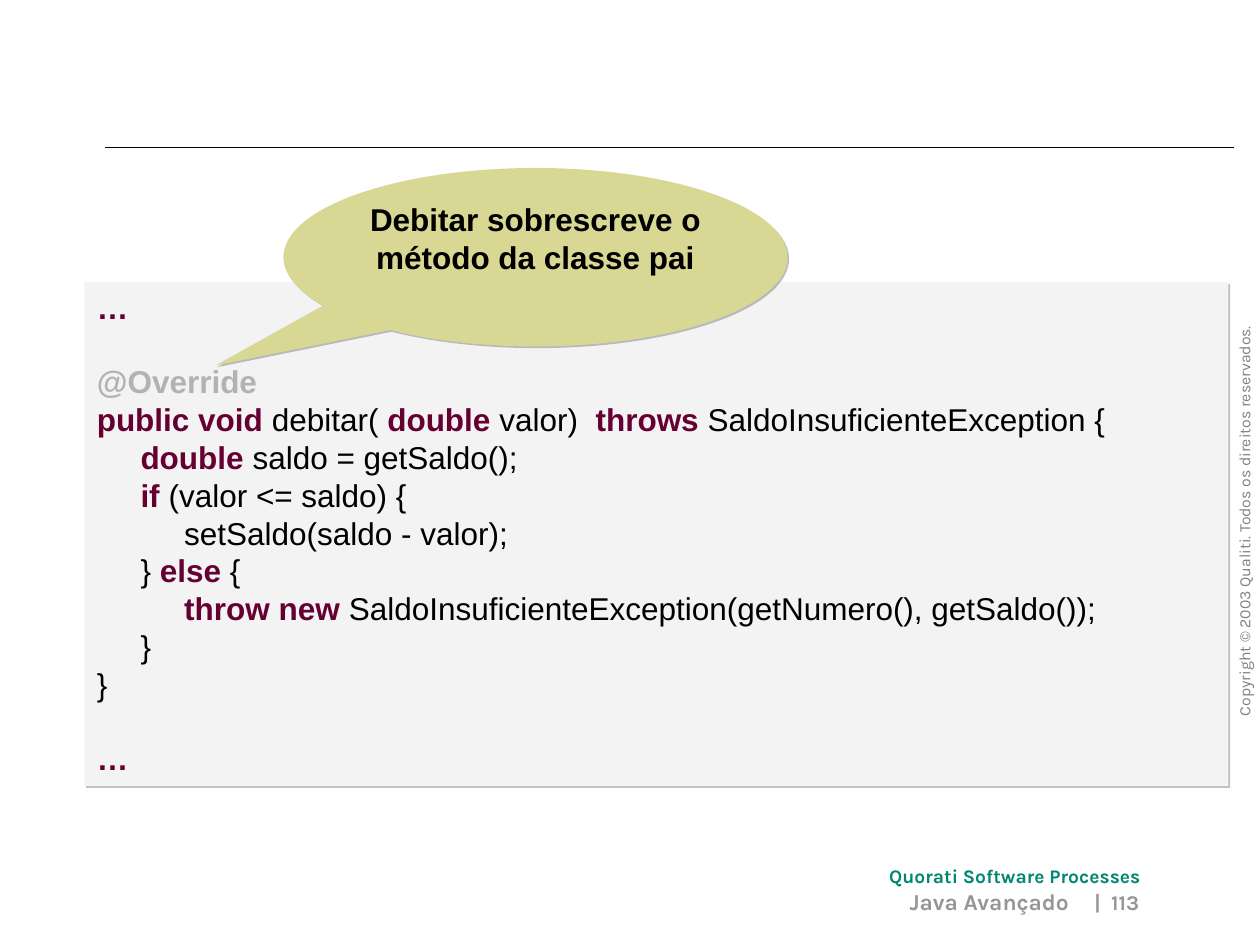
from lxml import etree
from pptx import Presentation, util as u
from pptx.dml.color import RGBColor
from pptx.enum import shapes, text
from pptx.oxml.ns import qn

INK = {
    "black": "000000", "word": "660033", "note": "B2B2B2", "panel": "F3F3F3",
    "bubble": "D8D894", "shade": "808080", "green": "008673", "grey": "969696",
}
CODE = [
    [("…", "word")],
    [("@Override", "note")],
    [("public void", "word"), (" debitar( ", "black"), ("double", "word"),
     (" valor)  ", "black"), ("throws", "word"),
     (" SaldoInsuficienteException {", "black")],
    [("     double", "word"), (" saldo = getSaldo();", "black")],
    [("     if", "word"), (" (valor <= saldo) {", "black")],
    [("          setSaldo(saldo - valor);", "black")],
    [("     } ", "black"), ("else", "word"), (" {", "black")],
    [("          throw new", "word"),
     (" SaldoInsuficienteException(getNumero(), getSaldo());", "black")],
    [("     }", "black")],
    [("}", "black")],
    [("…", "word")],
]
GAPS = {1: 20.7, len(CODE) - 1: 20.7}
LEFT, MID, RIGHT = text.PP_ALIGN.LEFT, text.PP_ALIGN.CENTER, text.PP_ALIGN.RIGHT


def tint(ink):
    """Return the named colour."""
    return RGBColor.from_string(INK[ink])


def style(run, size, ink, face, bold):
    """Format one run."""
    font = run.font
    font.size, font.name, font.bold = u.Pt(size), face, bold
    font.color.rgb = tint(ink)


def label(slide, words, box, size, ink, align=LEFT, bold=True, wrap=True):
    """Add a one-line text box and return it."""
    item = slide.shapes.add_textbox(*map(u.Pt, box))
    frame = item.text_frame
    frame.word_wrap = wrap
    frame.text = words
    para = frame.paragraphs[0]
    para.alignment = align
    style(para.runs[0], size, ink, "Karla", bold)
    return item


def shade(shape):
    """Give a shape a hard grey shadow to its lower right."""
    shape.shadow.inherit = False
    effects = shape._element.spPr.find(qn("a:effectLst"))
    outer = etree.SubElement(effects, qn("a:outerShdw"), blurRad="0",
                             dist=str(u.Pt(1.4)), dir="2700000",
                             algn="ctr", rotWithShape="0")
    color = etree.SubElement(outer, qn("a:srgbClr"), val=INK["shade"])
    etree.SubElement(color, qn("a:alpha"), val="50000")


def block(slide, kind, box, ink):
    """Add a filled, shadowed shape with text from the top."""
    shape = slide.shapes.add_shape(kind, *map(u.Pt, box))
    shape.fill.solid()
    shape.fill.fore_color.rgb = tint(ink)
    shape.line.fill.background()
    shade(shape)
    shape.text_frame.word_wrap = True
    shape.text_frame.vertical_anchor = text.MSO_ANCHOR.TOP
    return shape


def listing(slide):
    """Add the code panel."""
    panel = block(slide, shapes.MSO_SHAPE.RECTANGLE, (48.24, 161.28, 653.76, 288), "panel")
    frame = panel.text_frame
    for row, parts in enumerate(CODE):
        para = frame.add_paragraph() if row else frame.paragraphs[0]
        para.alignment = LEFT
        if row in GAPS:
            para.space_before = u.Pt(GAPS[row])
        for words, ink in parts:
            run = para.add_run()
            run.text = words
            style(run, 18, ink, "Arial", ink != "black")


def bubble(slide):
    """Add the speech bubble that points at the annotation."""
    shape = block(slide, shapes.MSO_SHAPE.OVAL_CALLOUT, (162, 96, 288, 102), "bubble")
    shape.adjustments[0], shape.adjustments[1] = -0.635, 0.607
    shape.text_frame.text = "Debitar sobrescreve o método da classe pai"
    para = shape.text_frame.paragraphs[0]
    para.alignment = MID
    style(para.runs[0], 18, "black", "Arial", True)


def rule(slide):
    """Draw the line under the title area."""
    ends = map(u.Pt, (704.88, 84.24, 59.76, 84.24))
    line = slide.shapes.add_connector(shapes.MSO_CONNECTOR.STRAIGHT, *ends)
    line.line.color.rgb = tint("black")
    line.line.width = u.Pt(0.75)
    etree.SubElement(line._element.spPr, qn("a:effectLst"))


def footer(slide):
    """Add the copyright, firm, course and page labels."""
    side = label(slide, "Copyright © 2003 Qualiti. Todos os direitos reservados.",
                 (587.5, 283.7, 247, 18), 9, "shade", bold=False, wrap=False)
    side.rotation = 270
    label(slide, "Quorati Software Processes", (501, 490.3, 161.3, 21), 11, "green", wrap=False)
    page = label(slide, "|  113", (310.3, 506.2, 347.8, 23.8), 12, "grey", RIGHT)
    page.text_frame.paragraphs[0].line_spacing = 0.9
    label(slide, "Java Avançado", (192.2, 504, 425.5, 23.8), 13, "grey", RIGHT)


def main():
    """Build and save the slide."""
    deck = Presentation()
    deck.slide_width, deck.slide_height = u.Pt(720), u.Pt(540)
    slide = deck.slides.add_slide(deck.slide_layouts[6])
    rule(slide)
    footer(slide)
    listing(slide)
    bubble(slide)
    deck.save("out.pptx")


if __name__ == "__main__":
    main()
